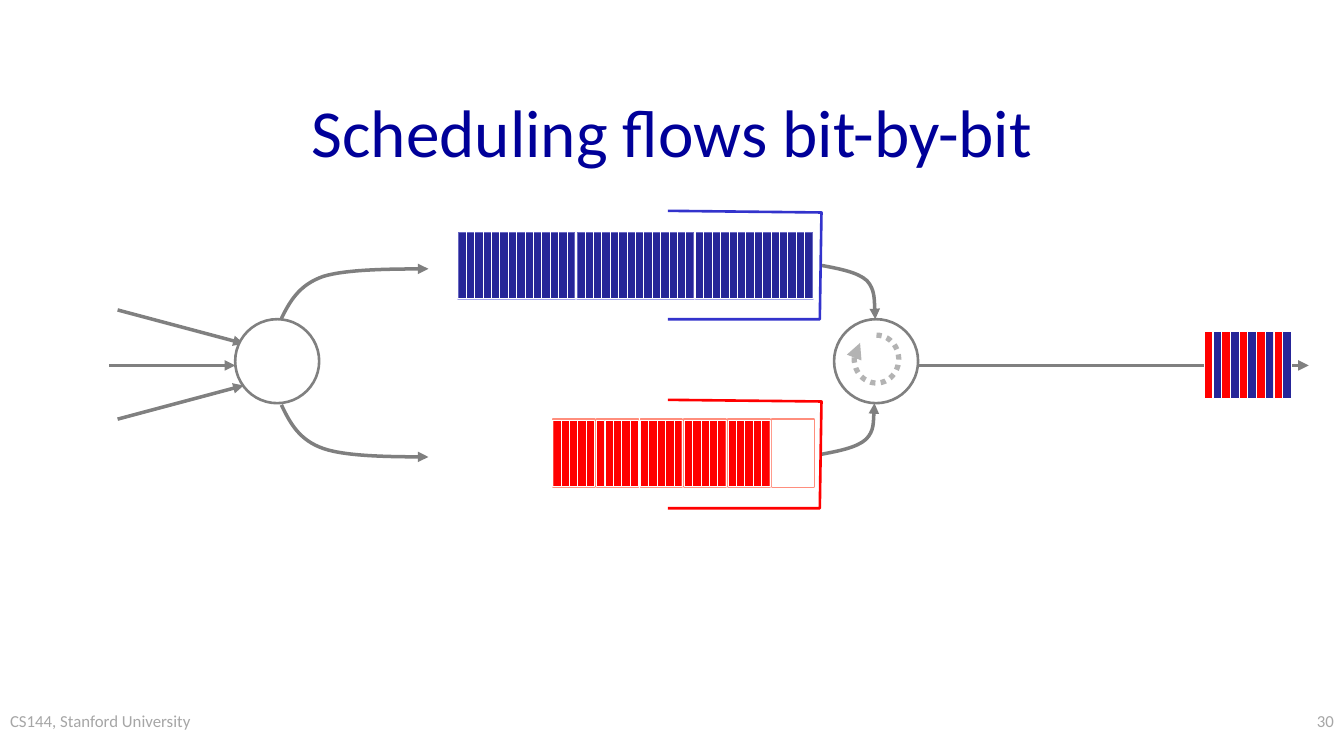
from dataclasses import dataclass
from typing import Optional

from lxml.etree import SubElement
from pptx import Presentation
from pptx.dml.color import RGBColor
from pptx.enum.dml import MSO_LINE
from pptx.enum.shapes import MSO_CONNECTOR, MSO_SHAPE
from pptx.enum.text import MSO_ANCHOR, PP_ALIGN
from pptx.oxml.ns import qn
from pptx.util import Inches, Pt

COLUMNS, ROWS = 16, 9
SLIDE_W, SLIDE_H = Inches(16), Inches(9)
COLORS = {
    "title": "000099", "footer": "A6A6A6", "white": "FFFFFF",
    "link": "808080", "curve": "7F7F7F", "rotation": "B3B3B3",
    "blue": "262598", "blue_edge": "A5A5E9", "blue_buffer": "3333CC",
    "red": "FF0000", "red_edge": "FF8E7D",
}
BIT_W, BIT_H = 0.1, 0.79
Point = tuple[float, float]


@dataclass(frozen=True)
class Label:
    text: str
    box: tuple[float, float, float, float]
    size: float
    color: str
    align: PP_ALIGN = PP_ALIGN.LEFT
    anchor: MSO_ANCHOR = MSO_ANCHOR.TOP


@dataclass(frozen=True)
class Queue:
    color: str
    edge: str
    first: float
    last: float
    packets: int
    packet_w: float
    packet_row: float
    packet_h: float
    bit_row: float
    bits: int
    sent_packets: int
    buffer_row: float
    buffer_color: str


LABELS = [
    Label("CS144, Stanford University", (0, 8.4, 3.87, 0.6), 14.4, "footer"),
    Label("Scheduling flows bit-by-bit", (1.2, 0.8, 13.6, 1.5), 57.6, "title",
          PP_ALIGN.CENTER, MSO_ANCHOR.MIDDLE),
    Label("30", (12.67, 8.4, 3.33, 0.6), 14.4, "footer", PP_ALIGN.RIGHT),
]
LINKS = [
    ((1.3, 4.35), (2.8, 4.35)),
    ((1.4, 4.99), (2.9, 4.59)),
    ((1.4, 3.69), (2.9, 4.09)),
    ((10.93, 4.35), (15.58, 4.35)),
]
NODES = [(2.8, 3.8), (9.93, 3.8)]
CURVES = [
    [(9.78, 3.16), (9.99, 3.2), (10.21, 3.24), (10.32, 3.34),
     (10.42, 3.45), (10.42, 3.8), (10.42, 3.8)],
    [(9.77, 5.41), (9.98, 5.37), (10.2, 5.33), (10.31, 5.23),
     (10.41, 5.13), (10.41, 4.8), (10.41, 4.8)],
    [(3.35, 4.82), (3.45, 5.03), (3.56, 5.24), (3.85, 5.34),
     (4.14, 5.44), (5.1, 5.44), (5.1, 5.44)],
    [(3.35, 3.79), (3.45, 3.59), (3.56, 3.39), (3.85, 3.29),
     (4.14, 3.2), (5.1, 3.2), (5.1, 3.2)],
]
QUEUES = [
    Queue("red", "red_edge", 6.58, 9.19, 6, 0.5, 4.99, 0.81, 5, 5, 1, 4.76, "red"),
    Queue("blue", "blue_edge", 5.45, 8.28, 3, 1.4, 2.76, 0.8, 2.76, 14, 0, 2.51,
          "blue_buffer"),
]
OUTPUT_FIRST, OUTPUT_LAST, OUTPUT_BITS, OUTPUT_ROW = 14.34, 15.27, 10, 3.95


def col(n: float) -> int:
    return round(SLIDE_W * n / COLUMNS)


def row(n: float) -> int:
    return round(SLIDE_H * n / ROWS)


def rgb(name: str) -> RGBColor:
    return RGBColor.from_string(COLORS[name])


def spread(first: float, last: float, count: int) -> list[float]:
    return [first + (last - first) * i / (count - 1) for i in range(count)]


def set_line(item, color: str, width: float, arrow: bool = False) -> None:
    item.line.color.rgb = rgb(color)
    item.line.width = Pt(width)
    if arrow:
        SubElement(item.line._get_or_add_ln(), qn("a:tailEnd"), type="triangle")


def add_label(slide, label: Label) -> None:
    left, top, width, height = label.box
    frame = slide.shapes.add_textbox(col(left), row(top), col(width), row(height)).text_frame
    frame.word_wrap = True
    frame.vertical_anchor = label.anchor
    frame.margin_left = frame.margin_right = Inches(0.12)
    frame.margin_top = frame.margin_bottom = Inches(0.06)
    line = frame.paragraphs[0]
    line.text = label.text
    line.alignment = label.align
    line.font.name = "Calibri"
    line.font.size = Pt(label.size)
    line.font.color.rgb = rgb(label.color)


def add_preset(slide, kind: MSO_SHAPE, left: float, top: float, width: float,
               height: float, fill: Optional[str]):
    shape = slide.shapes.add_shape(kind, col(left), row(top), col(width), row(height))
    shape.shadow.inherit = False
    if fill is None:
        shape.fill.background()
    else:
        shape.fill.solid()
        shape.fill.fore_color.rgb = rgb(fill)
    return shape


def add_bit(slide, left: float, top: float, color: str, opacity: int = 100) -> None:
    bit = add_preset(slide, MSO_SHAPE.RECTANGLE, left, top, BIT_W, BIT_H, color)
    set_line(bit, "white", 0.75)
    if opacity < 100:
        tint = bit._element.spPr.find(qn("a:solidFill"))[0]
        SubElement(tint, qn("a:alpha"), val=str(opacity * 1000))


def add_outline(slide, points: list[Point]):
    start, *rest = [(col(x), row(y)) for x, y in points]
    builder = slide.shapes.build_freeform(*start)
    builder.add_line_segments(rest, close=False)
    outline = builder.convert_to_shape()
    outline.shadow.inherit = False
    outline.fill.background()
    return outline


def add_curve(slide, points: list[Point]) -> None:
    curve = add_outline(slide, points)
    segments = list(curve._element.iter(qn("a:lnTo")))
    track = segments[0].getparent()
    for i in range(0, len(segments), 3):
        bend = SubElement(track, qn("a:cubicBezTo"))
        for segment in segments[i:i + 3]:
            bend.append(segment[0])
            track.remove(segment)
    set_line(curve, "curve", 3, arrow=True)


def add_link(slide, start: Point, end: Point) -> None:
    link = slide.shapes.add_connector(
        MSO_CONNECTOR.STRAIGHT, col(start[0]), row(start[1]), col(end[0]), row(end[1]))
    set_line(link, "link", 3, arrow=True)
    SubElement(link._element.spPr, qn("a:effectLst"))


def add_queue(slide, queue: Queue) -> None:
    lefts = spread(queue.first, queue.last, queue.packets)
    for left in lefts:
        packet = add_preset(slide, MSO_SHAPE.RECTANGLE, left, queue.packet_row,
                            queue.packet_w, queue.packet_h, queue.color)
        set_line(packet, queue.edge, 1.5)
    for number, left in enumerate(lefts):
        waiting = number < queue.packets - queue.sent_packets
        for i in range(queue.bits):
            add_bit(slide, left + i * BIT_W, queue.bit_row,
                    queue.color if waiting else "white", 47 if waiting else 100)
    top = queue.buffer_row
    buffer = add_outline(slide, [(7.95, top), (9.78, top + 0.02),
                                 (9.76, top + 1.29), (7.95, top + 1.29)])
    set_line(buffer, queue.buffer_color, 2.25)


def main() -> None:
    deck = Presentation()
    deck.slide_width, deck.slide_height = SLIDE_W, SLIDE_H
    slide = deck.slides.add_slide(deck.slide_layouts[6])
    for label in LABELS:
        add_label(slide, label)
    for start, end in LINKS:
        add_link(slide, start, end)
    for left, top in NODES:
        set_line(add_preset(slide, MSO_SHAPE.OVAL, left, top, 1, 1, "white"), "link", 2.25)
    rotation = add_preset(slide, MSO_SHAPE.ARC, 10.17, 3.99, 0.53, 0.57, None)
    rotation.adjustments[0], rotation.adjustments[1] = 162, 134.75
    rotation.line.dash_style = MSO_LINE.ROUND_DOT
    set_line(rotation, "rotation", 4.5, arrow=True)
    for points in CURVES:
        add_curve(slide, points)
    for queue in QUEUES:
        add_queue(slide, queue)
    for i, left in enumerate(spread(OUTPUT_FIRST, OUTPUT_LAST, OUTPUT_BITS)):
        add_bit(slide, left, OUTPUT_ROW, ("red", "blue")[i % 2])
    deck.save("out.pptx")


if __name__ == "__main__":
    main()
